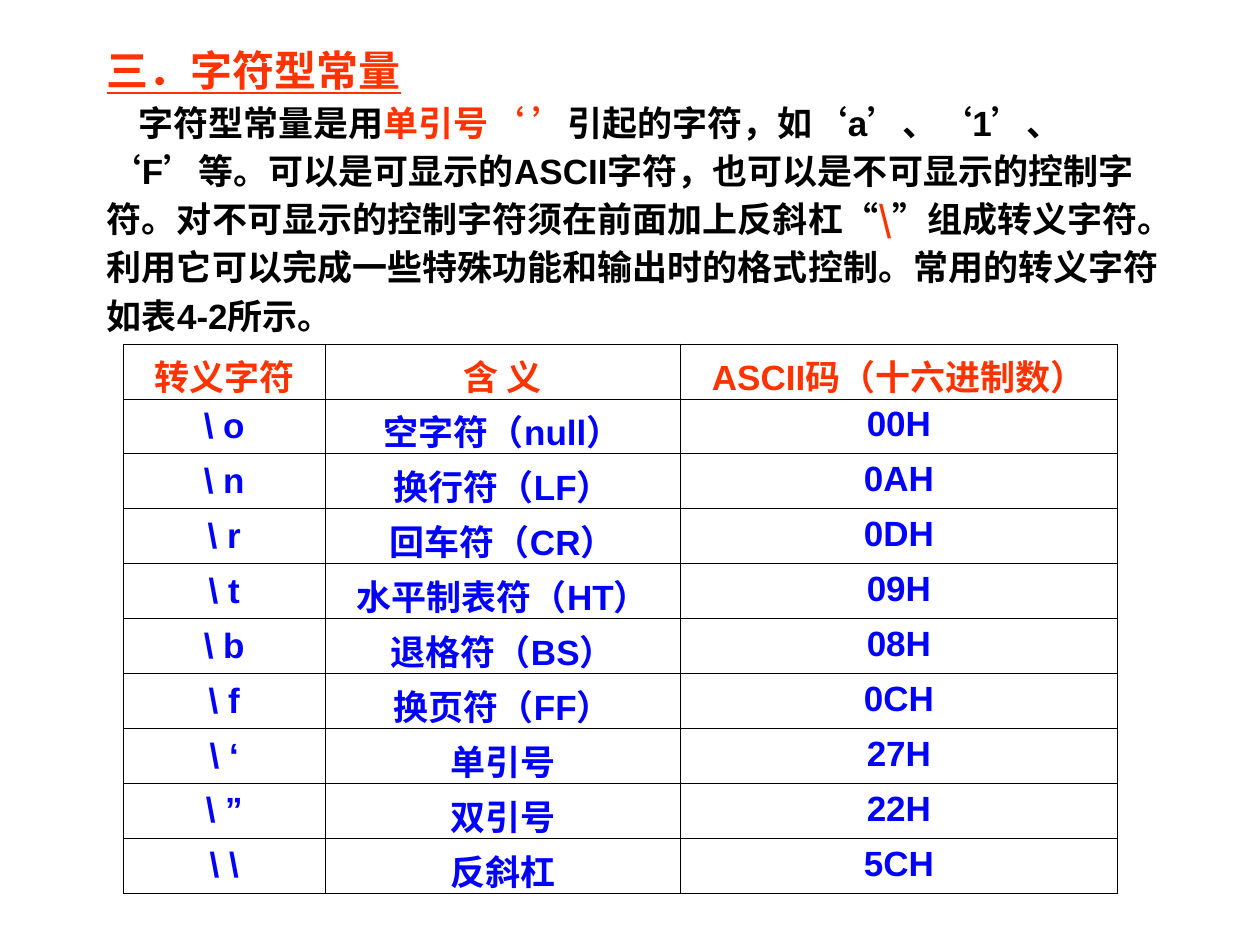
"""Build the slide on character constants and their escape codes."""
from typing import NamedTuple, Optional

import pptx
import pptx.dml.color
import pptx.enum.text
import pptx.oxml
import pptx.oxml.ns
import pptx.util

Inches = pptx.util.Inches
Pt = pptx.util.Pt
RGBColor = pptx.dml.color.RGBColor
Anchor = pptx.enum.text.MSO_ANCHOR

RED = RGBColor(0xFF, 0x33, 0x00)
BLUE = RGBColor(0x00, 0x00, 0xFF)
BLACK = RGBColor(0x00, 0x00, 0x00)
LATIN = "Arial"
ASIAN = "Noto Sans CJK SC"


class Piece(NamedTuple):
    text: str
    color: RGBColor = BLACK
    face: Optional[str] = None


class Escape(NamedTuple):
    code: str
    sense: str
    value: str


TITLE = "三．字符型常量"
BODY = [
    Piece("字符型常量是用"),
    Piece("单引号‘ ’", RED),
    Piece("引起的字符，如‘a’、‘1’、‘F’等。可以是可显示的ASCII字符，也可以是不可显示的"
          "控制字符。对不可显示的控制字符须在前面加上反斜杠“"),
    Piece("\\", RED, ASIAN),
    Piece("”组成转义字符。利用它可以完成一些特殊功能和输出时的格式控制。"
          "常用的转义字符如表4-2所示。"),
]
ROWS = [
    Escape("转义字符", "含 义", "ASCII码（十六进制数）"),
    Escape("\\ o", "空字符（null）", "00H"),
    Escape("\\ n", "换行符（LF）", "0AH"),
    Escape("\\ r", "回车符（CR）", "0DH"),
    Escape("\\ t", "水平制表符（HT）", "09H"),
    Escape("\\ b", "退格符（BS）", "08H"),
    Escape("\\ f", "换页符（FF）", "0CH"),
    Escape("\\ ‘", "单引号", "27H"),
    Escape("\\ ”", "双引号", "22H"),
    Escape("\\ \\", "反斜杠", "5CH"),
]
WIDTHS = [1.6, 2.82, 3.47]
HEIGHT = 4.36


def style(para, size: int, color: RGBColor) -> None:
    font = para.font
    font.name, font.size, font.bold = LATIN, Pt(size), True
    font.color.rgb = color
    props = para._p.pPr.find(pptx.oxml.ns.qn("a:defRPr"))
    asian = pptx.oxml.parse_xml(
        f'<a:ea {pptx.oxml.ns.nsdecls("a")} typeface="{ASIAN}"/>')
    props.find(pptx.oxml.ns.qn("a:latin")).addnext(asian)


def border(cell) -> None:
    props = cell._tc.get_or_add_tcPr()
    for spot, side in enumerate(("lnL", "lnR", "lnT", "lnB")):
        line = pptx.oxml.parse_xml(
            f'<a:{side} {pptx.oxml.ns.nsdecls("a")} w="{Pt(0.45)}">'
            f'<a:solidFill><a:srgbClr val="{BLACK}"/></a:solidFill></a:{side}>')
        props.insert(spot, line)


def add_intro(slide) -> None:
    box = slide.shapes.add_textbox(
        Inches(0.75), Inches(0.24), Inches(8.58), Inches(2.48))
    frame = box.text_frame
    frame.word_wrap = True
    frame.vertical_anchor = Anchor.MIDDLE
    title, body = frame.paragraphs[0], frame.add_paragraph()
    title.text = TITLE
    style(title, 24, RED)
    title.font.underline = True
    body._p.get_or_add_pPr().set("indent", str(Inches(0.25)))
    style(body, 20, BLACK)
    for piece in BODY:
        run = body.add_run()
        run.text = piece.text
        run.font.color.rgb = piece.color
        if piece.face:
            run.font.name = piece.face
    title.line_spacing = body.line_spacing = 1.15


def add_codes(slide) -> None:
    table = slide.shapes.add_table(
        len(ROWS), len(WIDTHS), Inches(0.98), Inches(2.73),
        Inches(sum(WIDTHS)), Inches(HEIGHT)).table
    table.first_row = table.horz_banding = False
    for column, width in zip(table.columns, WIDTHS):
        column.width = Inches(width)
    for r, entry in enumerate(ROWS):
        table.rows[r].height = Inches(HEIGHT / len(ROWS))
        for c, text in enumerate(entry):
            cell = table.cell(r, c)
            cell.fill.background()
            border(cell)
            middle = r == 0 or c == 0
            cell.vertical_anchor = Anchor.MIDDLE if middle else Anchor.TOP
            para = cell.text_frame.paragraphs[0]
            para.text = text
            para.alignment = pptx.enum.text.PP_ALIGN.CENTER
            style(para, 20, BLUE if r else RED)


def main() -> None:
    deck = pptx.Presentation()
    deck.slide_width, deck.slide_height = Inches(10), Inches(7.5)
    slide = deck.slides.add_slide(deck.slide_layouts[6])
    add_intro(slide)
    add_codes(slide)
    deck.save("out.pptx")


if __name__ == "__main__":
    main()
